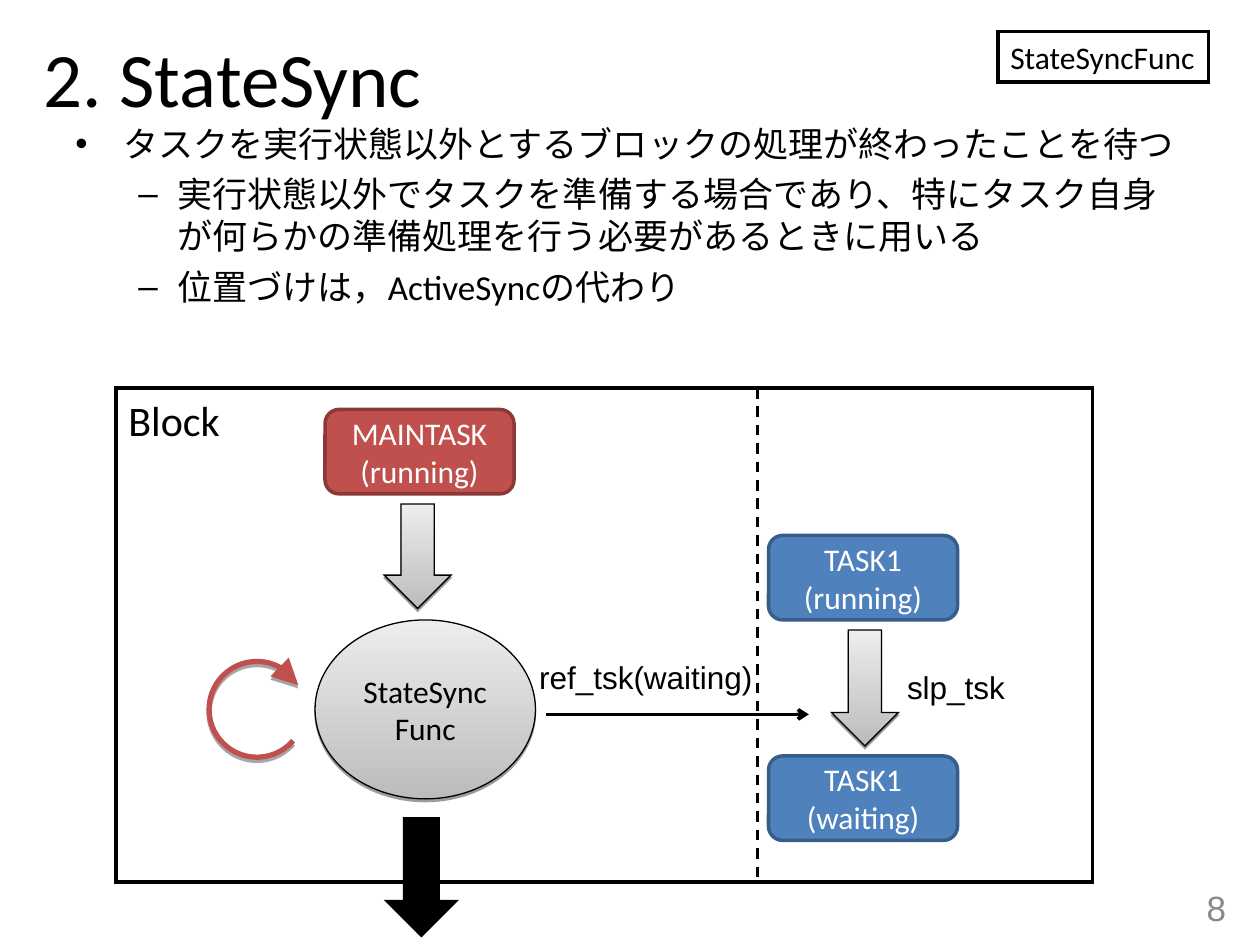
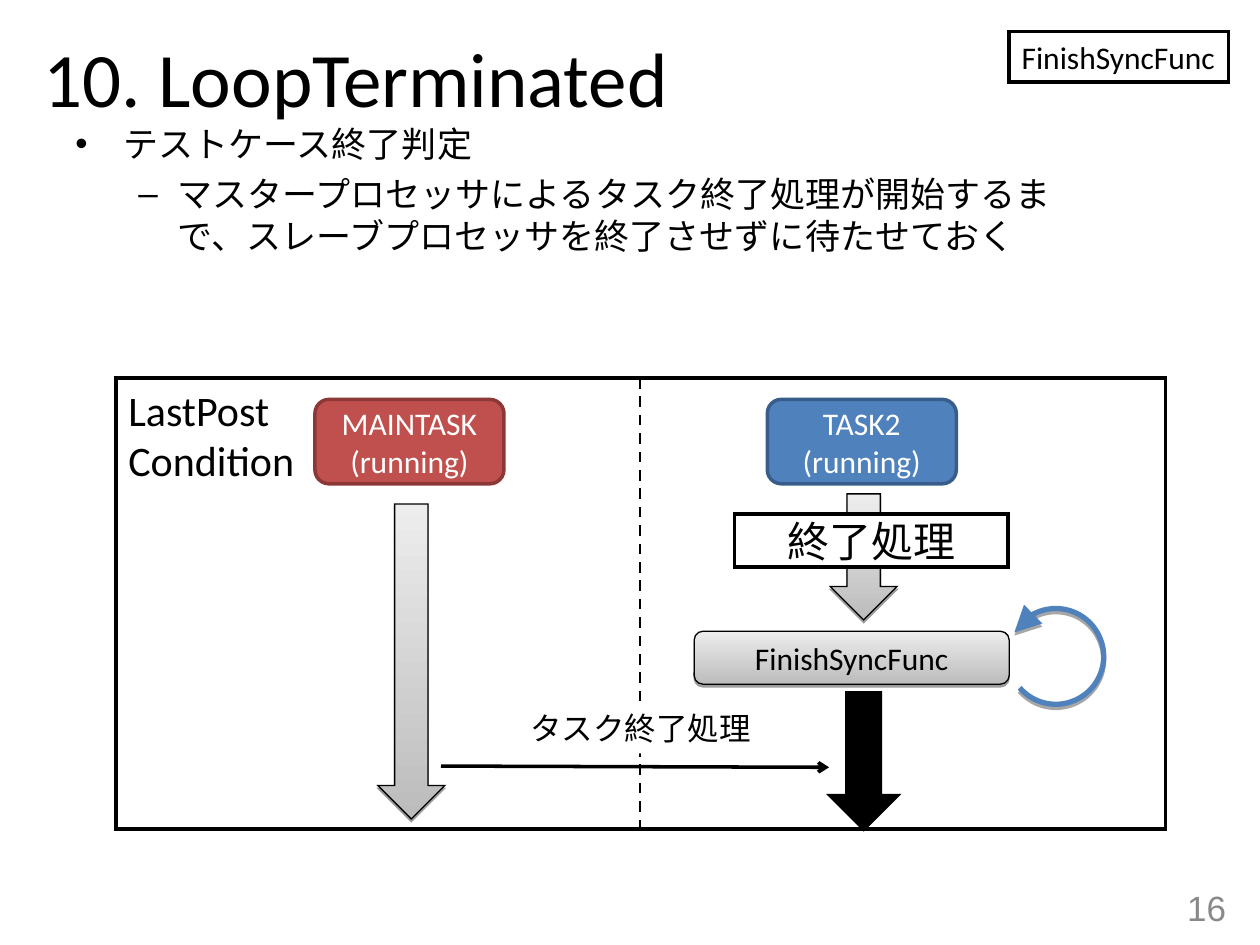
"""Builds two slides that explain the StateSync and LoopTerminated blocks."""
from dataclasses import dataclass

from lxml import etree
from pptx import Presentation
from pptx.dml.color import RGBColor
from pptx.enum.dml import MSO_LINE
from pptx.enum.shapes import MSO_CONNECTOR, MSO_SHAPE
from pptx.enum.text import MSO_ANCHOR, MSO_AUTO_SIZE, PP_ALIGN
from pptx.oxml.ns import qn
from pptx.util import Pt

PX = 9144
RECTANGLE, ROUNDED, ELLIPSE = MSO_SHAPE.RECTANGLE, MSO_SHAPE.ROUNDED_RECTANGLE, MSO_SHAPE.OVAL
DOWN_ARROW, ARC = MSO_SHAPE.DOWN_ARROW, MSO_SHAPE.ARC
STRAIGHT, DASH = MSO_CONNECTOR.STRAIGHT, MSO_LINE.DASH
TOP, MIDDLE = MSO_ANCHOR.TOP, MSO_ANCHOR.MIDDLE
GROW = MSO_AUTO_SIZE.SHAPE_TO_FIT_TEXT
LEFT, CENTER, RIGHT = PP_ALIGN.LEFT, PP_ALIGN.CENTER, PP_ALIGN.RIGHT


@dataclass(frozen=True)
class Theme:
    black: str = "000000"
    white: str = "FFFFFF"
    gray: str = "898989"
    red: str = "C0504D"
    dark_red: str = "8C3836"
    blue: str = "4F81BD"
    dark_blue: str = "385D8A"
    gradient: tuple = ("BCBCBC", "EDEDED")
    title: int = 44
    heading: int = 24
    body: int = 20
    label: int = 18
    font: str = "Calibri"
    plain_font: str = "Arial"


theme = Theme()
base = {"fill": None, "line": None, "width": 2, "shadow": None, "color": theme.black,
        "font": theme.font, "size": theme.label, "align": LEFT,
        "frame": {"word_wrap": True, "vertical_anchor": TOP}}
middle = {"frame": {"word_wrap": True, "vertical_anchor": MIDDLE}}
unwrapped = {"frame": {"word_wrap": False, "vertical_anchor": TOP, "auto_size": GROW}}
centered = base | middle | {"align": CENTER}
outlined = {"fill": theme.white, "line": theme.black}

styles = {
    "title": base | middle | {"size": theme.title},
    "body": base | {"size": theme.body},
    "number": base | middle | {"size": theme.body, "font": theme.plain_font,
                               "color": theme.gray, "align": RIGHT},
    "tag": base | unwrapped | outlined,
    "block": base | outlined | {"size": theme.heading},
    "step": centered | outlined | {"size": theme.heading},
    "main": centered | {"fill": theme.red, "line": theme.dark_red, "color": theme.white},
    "task": centered | {"fill": theme.blue, "line": theme.dark_blue, "color": theme.white},
    "sync": centered | {"fill": theme.gradient, "line": theme.black, "width": 0.75,
                        "shadow": (38000, 1.6)},
    "exit": centered | {"fill": theme.black, "line": theme.black},
    "call": base | unwrapped | {"font": theme.plain_font},
    "covering call": base | unwrapped | {"font": theme.plain_font, "fill": theme.white},
    "main loop": base | {"line": theme.red, "width": 3, "shadow": (35000, 1.8)},
    "task loop": base | {"line": theme.blue, "width": 3, "shadow": (35000, 1.8)},
}
bullets = [("•", 38, -38), ("–", 81, -31)]

slides = [
    {
        "title": "2. StateSync", "number": "8",
        "body_size": (900, 200),
        "body": [(0, "タスクを実行状態以外とするブロックの処理が終わったことを待つ"),
                 (1, "実行状態以外でタスクを準備する場合であり、特にタスク自身が何らかの準備処理を行う必要があるときに用いる"),
                 (1, "位置づけは，ActiveSyncの代わり")],
        "parts": [
            ("tag", RECTANGLE, (792, 25, 167, 40), "StateSyncFunc"),
            ("block", RECTANGLE, (92, 308, 775, 392), "Block"),
            ("main", ROUNDED, (258, 325, 150, 67), "MAINTASK", "(running)"),
            ("sync", DOWN_ARROW, (305, 400, 53, 83)),
            ("sync", DOWN_ARROW, (660, 500, 53, 92)),
            ("task", ROUNDED, (610, 425, 150, 67), "TASK1", "(running)"),
            ("exit", DOWN_ARROW, (308, 650, 53, 92)),
            ("call", None, (710, 525, 98, 40), "slp_tsk"),
            ("task", ROUNDED, (610, 600, 150, 67), "TASK1", "(waiting)"),
            ("arrow", (433, 567, 642, 567)),
            ("call", None, (418, 517, 192, 40), "ref_tsk(waiting)"),
            ("sync", ELLIPSE, (250, 492, 175, 142), "StateSyncFunc"),
            ("divider", (601, 308, 601, 700)),
        ],
        "loop": ("main loop", (166, 525, 76, 76), (41, 330), "tailEnd"),
    },
    {
        "title": "10. LoopTerminated", "number": "16",
        "body_size": (815, 192),
        "body": [(0, "テストケース終了判定"),
                 (1, "マスタープロセッサによるタスク終了処理が開始するまで、スレーブプロセッサを終了させずに待たせておく")],
        "parts": [
            ("tag", RECTANGLE, (801, 25, 174, 40), "FinishSyncFunc"),
            ("block", RECTANGLE, (92, 300, 833, 358), "LastPost", "Condition"),
            ("main", ROUNDED, (250, 317, 150, 67), "MAINTASK", "(running)"),
            ("task", ROUNDED, (609, 317, 150, 67), "TASK2", "(running)"),
            ("sync", DOWN_ARROW, (300, 400, 53, 250)),
            ("sync", DOWN_ARROW, (659, 392, 53, 100)),
            ("divider", (508, 300, 508, 658)),
            ("exit", DOWN_ARROW, (659, 550, 53, 108)),
            ("sync", ROUNDED, (551, 501, 250, 42), "FinishSyncFunc"),
            ("arrow", (350, 608, 658, 609)),
            ("covering call", RECTANGLE, (411, 558, 195, 40), "タスク終了処理"),
            ("step", RECTANGLE, (583, 408, 217, 42), "終了処理"),
        ],
        "loop": ("task loop", (800, 483, 76, 76), (210, 139), "headEnd"),
    },
]


def add_child(parent, tag, **attributes):
    return etree.SubElement(parent, qn(f"a:{tag}"), attributes)


def add_box(slide, style_name, preset, box, *lines):
    style = styles[style_name]
    place = [value * PX for value in box]
    if preset is None:
        shape = slide.shapes.add_textbox(*place)
    else:
        shape = slide.shapes.add_shape(preset, *place)
        shape.shadow.inherit = False
    if style["fill"] is None:
        shape.fill.background()
    elif isinstance(style["fill"], tuple):
        shape.fill.gradient()
        shape.fill.gradient_angle = 90
        for stop, color in zip(shape.fill.gradient_stops, style["fill"]):
            stop.color.rgb = RGBColor.from_string(color)
    else:
        shape.fill.solid()
        shape.fill.fore_color.rgb = RGBColor.from_string(style["fill"])
    if style["line"]:
        shape.line.color.rgb = RGBColor.from_string(style["line"])
        shape.line.width = Pt(style["width"])
        add_child(shape.line._get_or_add_ln(), "miter", lim="800000")
    else:
        shape.line.fill.background()
    if style["shadow"]:
        alpha, distance = style["shadow"]
        effects = shape.element.spPr.find(qn("a:effectLst"))
        shadow = add_child(effects, "outerShdw", dist=str(Pt(distance)), dir="5400000", rotWithShape="0")
        add_child(add_child(shadow, "srgbClr", val=theme.black), "alpha", val=str(alpha))
    for name, value in style["frame"].items():
        setattr(shape.text_frame, name, value)
    for index, line in enumerate(lines):
        paragraph = shape.text_frame.add_paragraph() if index else shape.text_frame.paragraphs[0]
        paragraph.alignment = style["align"]
        run = paragraph.add_run()
        run.text = line
        for name, value in {"name": style["font"], "size": Pt(style["size"])}.items():
            setattr(run.font, name, value)
        run.font.color.rgb = RGBColor.from_string(style["color"])
    return shape


presentation = Presentation()
presentation.slide_width = 1000 * PX
presentation.slide_height = 750 * PX

for content in slides:
    slide = presentation.slides.add_slide(presentation.slide_layouts[6])
    add_box(slide, "title", None, (25, 17, 900, 87), content["title"])
    add_box(slide, "number", None, (750, 700, 233, 40), content["number"])

    body = add_box(slide, "body", None, (50, 92, *content["body_size"]),
                   *[text for level, text in content["body"]])
    for index, paragraph in enumerate(body.text_frame.paragraphs):
        level = content["body"][index][0]
        character, margin, indent = bullets[level]
        paragraph.level = level
        if index:
            paragraph.space_before = Pt(5)
        properties = paragraph._p.get_or_add_pPr()
        properties.set("marL", str(margin * PX))
        properties.set("indent", str(indent * PX))
        add_child(properties, "buFont", typeface=theme.plain_font)
        add_child(properties, "buChar", char=character)

    for kind, *details in content["parts"]:
        if kind in styles:
            add_box(slide, kind, *details)
            continue
        ends = [value * PX for value in details[0]]
        connector = slide.shapes.add_connector(STRAIGHT, *ends)
        connector.line.color.rgb = RGBColor.from_string(theme.black)
        connector.line.width = Pt(2 if kind == "arrow" else 1.5)
        if kind == "arrow":
            add_child(connector.line._get_or_add_ln(), "tailEnd", type="arrow")
        else:
            connector.line.dash_style = DASH
        add_child(connector.element.spPr, "effectLst")

    loop_style, box, angles, arrow_end = content["loop"]
    loop = add_box(slide, loop_style, ARC, box)
    for index, angle in enumerate(angles):
        loop.adjustments[index] = angle * 0.6
    add_child(loop.line._get_or_add_ln(), arrow_end, type="triangle", w="lg", len="lg")

presentation.save("out.pptx")
